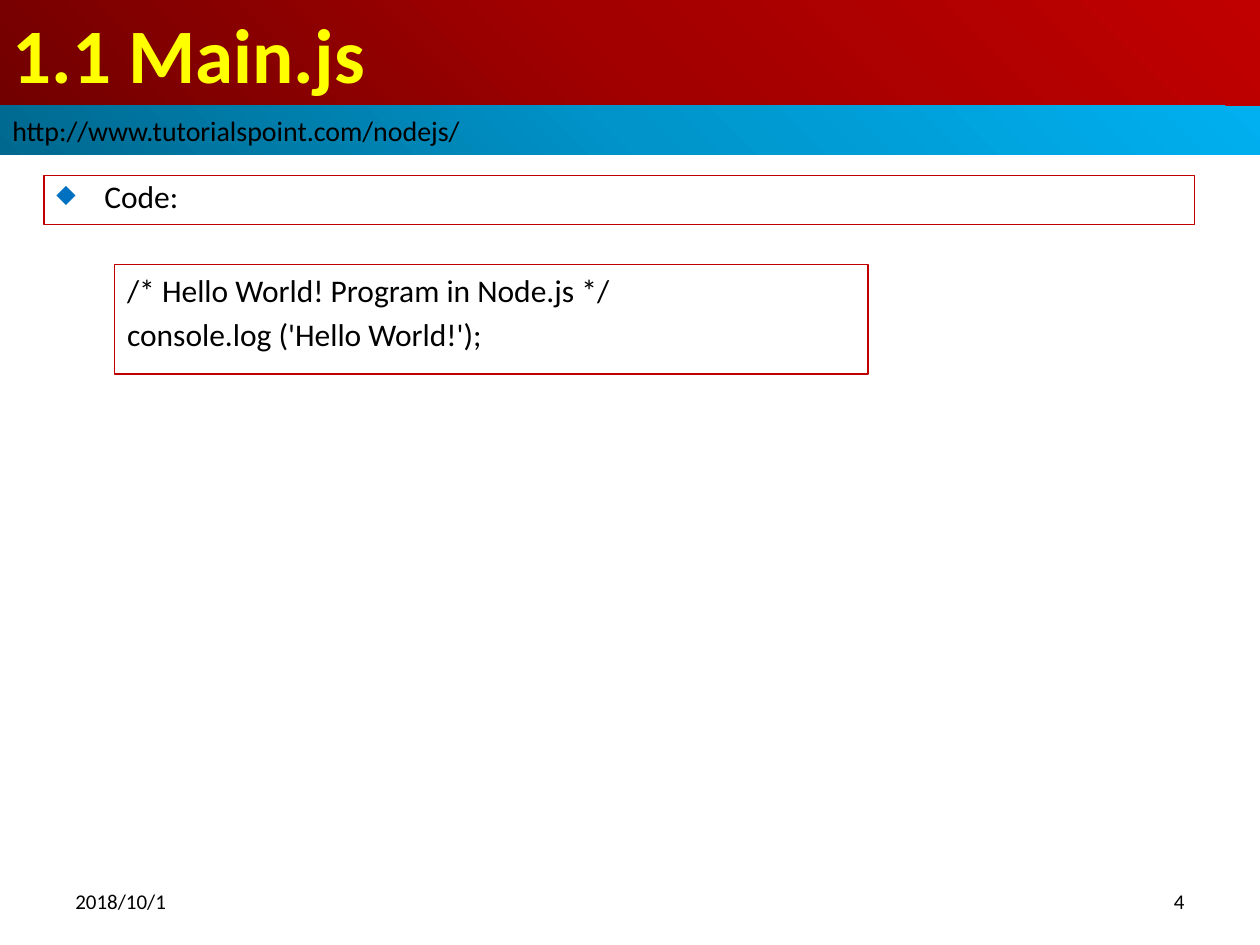
from pptx import Presentation
from pptx.dml.color import RGBColor
from pptx.enum.shapes import MSO_SHAPE as Shape
from pptx.enum.text import MSO_ANCHOR as Anchor, PP_ALIGN as Align
from pptx.oxml import parse_xml
from pptx.oxml.ns import nsdecls, qn
from pptx.util import Inches, Pt

BLACK = RGBColor(0x00, 0x00, 0x00)
YELLOW = RGBColor(0xFF, 0xFF, 0x00)
RED = RGBColor(0xC0, 0x00, 0x00)
BULLET_BLUE = RGBColor(0x00, 0x70, 0xC0)
RED_BAND = [RGBColor(0x72, 0x00, 0x00), RGBColor(0xA2, 0x00, 0x00), RED]
BLUE_BAND = [RGBColor(0x00, 0x68, 0x8E), RGBColor(0x00, 0x94, 0xCA),
             RGBColor(0x00, 0xB0, 0xF0)]


class SlideBuilder:
    font = "Calibri"

    def __init__(self, slide):
        self.slide = slide

    def place(self, shape, left, top, width, height):
        shape.left, shape.top = Inches(left), Inches(top)
        shape.width, shape.height = Inches(width), Inches(height)

    def set_text(self, shape, text, size, color=BLACK, bold=False,
                 anchor=Anchor.MIDDLE, align=Align.LEFT):
        frame = shape.text_frame
        frame.text = text
        frame.word_wrap = True
        frame.vertical_anchor = anchor
        for paragraph in frame.paragraphs:
            paragraph.alignment = align
            for run in paragraph.runs:
                run.font.name = self.font
                run.font.size = Pt(size)
                run.font.bold = bold
                run.font.color.rgb = color

    def shade(self, shape, colors):
        """Radial gradient spreading from the bottom left corner."""
        stops = "".join(
            f'<a:gs pos="{i * 50000}"><a:srgbClr val="{color}"/></a:gs>'
            for i, color in enumerate(colors))
        shape.fill.gradient()
        old = shape._element.spPr.find(qn("a:gradFill"))
        old.getparent().replace(old, parse_xml(
            f'<a:gradFill {nsdecls("a")} rotWithShape="1"><a:gsLst>{stops}</a:gsLst>'
            '<a:path path="circle"><a:fillToRect t="100000" r="100000"/></a:path>'
            '</a:gradFill>'))

    def title(self, text, box):
        heading = self.slide.shapes.title
        self.place(heading, *box)
        self.shade(heading, RED_BAND)
        self.set_text(heading, text, 44, YELLOW, bold=True)

    def rectangle(self, box):
        shape = self.slide.shapes.add_shape(
            Shape.RECTANGLE, *(Inches(length) for length in box))
        shape.shadow.inherit = False
        return shape

    def band(self, text, box):
        strip = self.rectangle(box)
        self.shade(strip, BLUE_BAND)
        strip.line.fill.background()
        self.set_text(strip, text, 16)

    def panel(self, text, box):
        frame = self.rectangle(box)
        frame.fill.background()
        frame.line.color.rgb = RED
        frame.line.width = Pt(0.75)
        self.set_text(frame, text, 18, anchor=Anchor.TOP)
        for paragraph in frame.text_frame.paragraphs[1:]:
            paragraph.space_before = Pt(3.6)
        return frame

    def bullet_panel(self, text, box):
        for paragraph in self.panel(text, box).text_frame.paragraphs:
            paragraph.line_spacing = 0.9
            props = paragraph._p.get_or_add_pPr()
            props.set("marL", str(Inches(0.38)))
            props.set("indent", str(-Inches(0.38)))
            for tag in (f'buClr {nsdecls("a")}><a:srgbClr val="{BULLET_BLUE}"/></a:buClr',
                        f'buSzPct {nsdecls("a")} val="80000"/',
                        f'buChar {nsdecls("a")} char="◆"/'):
                props.append(parse_xml(f"<a:{tag}>"))

    def footer(self, text, left, align):
        note = self.slide.shapes.add_textbox(
            Inches(left), Inches(6.95), Inches(2.33), Inches(0.4))
        self.set_text(note, text, 12, align=align)


def main():
    prs = Presentation()
    prs.slide_width, prs.slide_height = Inches(10), Inches(7.5)
    builder = SlideBuilder(prs.slides.add_slide(prs.slide_layouts[5]))

    # Heading bands
    builder.title("1.1 Main.js", (0, 0, 10, 0.84))
    builder.band("http://www.tutorialspoint.com/nodejs/", (0, 0.84, 10, 0.39))

    # Code
    builder.bullet_panel("Code:", (0.35, 1.39, 9.13, 0.39))
    builder.panel("/* Hello World! Program in Node.js */\n"
                  "console.log ('Hello World!');", (0.91, 2.1, 5.98, 0.87))

    # Date and page number
    builder.footer("2018/10/1", 0.5, Align.LEFT)
    builder.footer("4", 7.17, Align.RIGHT)

    prs.save("out.pptx")


if __name__ == "__main__":
    main()
